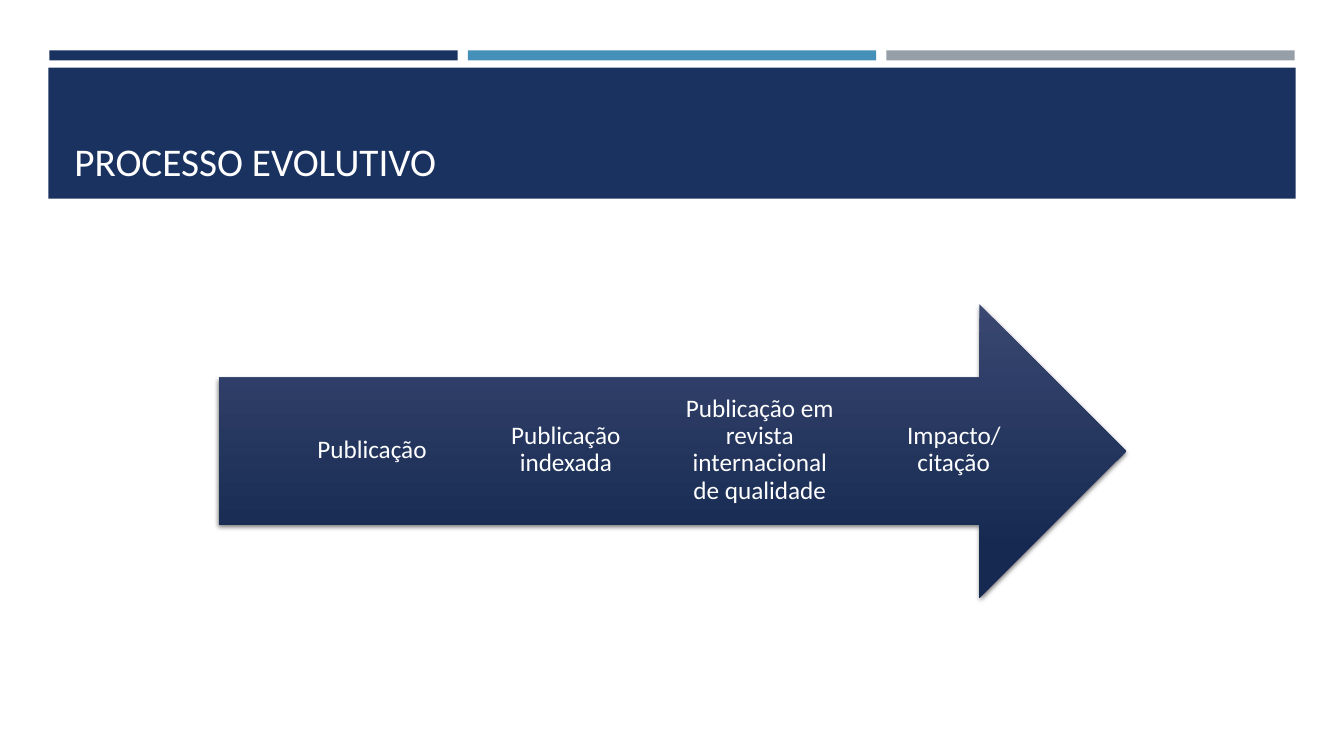
from lxml import etree
from pptx import Presentation, util as u
from pptx.dml.color import RGBColor
from pptx.enum import shapes, text
from pptx.oxml import ns

NAVY = RGBColor(0x1A, 0x32, 0x60)
BLUE = RGBColor(0x45, 0x90, 0xB8)
GREY = RGBColor(0x96, 0x9F, 0xA7)
WHITE = RGBColor(0xFF, 0xFF, 0xFF)
ARROW_TOP = RGBColor(0x39, 0x47, 0x71)
ARROW_BOTTOM = RGBColor(0x16, 0x2A, 0x51)

STAGES = ["Publicação", "Publicação indexada",
          "Publicação em revista internacional de qualidade", "Impacto/citação"]

deck = Presentation()
deck.slide_width, deck.slide_height = u.Inches(13.33), u.Inches(7.5)
page = deck.slides.add_slide(deck.slide_layouts[6])


def add_block(kind, left, top, width, height):
    """Add a borderless, shadowless shape, placed in inches."""
    block = page.shapes.add_shape(kind, *map(u.Inches, (left, top, width, height)))
    block.shadow.inherit = False
    block.line.fill.background()
    return block


def add_label(wording, size, anchor, left, top, width, height):
    """Add a white wrapping text box, placed in inches."""
    box = page.shapes.add_textbox(*map(u.Inches, (left, top, width, height)))
    frame = box.text_frame
    frame.word_wrap = True
    frame.vertical_anchor = anchor
    frame.text = wording
    font = frame.paragraphs[0].runs[0].font
    font.name, font.size, font.color.rgb = "Calibri", u.Pt(size), WHITE
    return frame


# Header: three bars above the title band
bar_width, bar_pitch = 4.05, 4.15
for column, color in enumerate([NAVY, BLUE, GREY]):
    bar = add_block(shapes.MSO_SHAPE.RECTANGLE, 0.49 + column * bar_pitch, 0.5, bar_width, 0.1)
    bar.fill.solid()
    bar.fill.fore_color.rgb = color

band = add_block(shapes.MSO_SHAPE.RECTANGLE, 0.48, 0.67, 12.37, 1.3)
band.fill.solid()
band.fill.fore_color.rgb = NAVY
add_label("PROCESSO EVOLUTIVO", 28, text.MSO_ANCHOR.BOTTOM, 0.64, 0.77, 12.06, 1.11)

# Arrow with a vertical gradient and a soft shadow below
arrow = add_block(shapes.MSO_SHAPE.RIGHT_ARROW, 2.17, 3.02, 9, 2.91)
arrow.fill.gradient()
arrow.fill.gradient_angle = 270
for stop, color, position in zip(arrow.fill.gradient_stops, [ARROW_TOP, ARROW_BOTTOM], [0, 0.84]):
    stop.color.rgb = color
    stop.position = position

effects = arrow._element.spPr.find(ns.qn("a:effectLst"))
shadow = etree.SubElement(effects, ns.qn("a:outerShdw"), blurRad=str(u.Pt(3)),
                          dist=str(u.Pt(2)), dir="5400000", algn="ctr", rotWithShape="0")
shade = etree.SubElement(shadow, ns.qn("a:srgbClr"), val="000000")
etree.SubElement(shade, ns.qn("a:alpha"), val="55000")

# Stages, evenly spaced along the arrow
stage_left, stage_pitch = 2.89, 1.923
for column, stage in enumerate(STAGES):
    frame = add_label(stage, 18, text.MSO_ANCHOR.MIDDLE,
                      stage_left + column * stage_pitch, 3.74, 1.6, 1.45)
    frame.margin_left = frame.margin_right = 0
    frame.margin_top = frame.margin_bottom = u.Inches(0.2)
    para = frame.paragraphs[0]
    para.alignment = text.PP_ALIGN.CENTER
    para.line_spacing = 0.9

deck.save("out.pptx")
